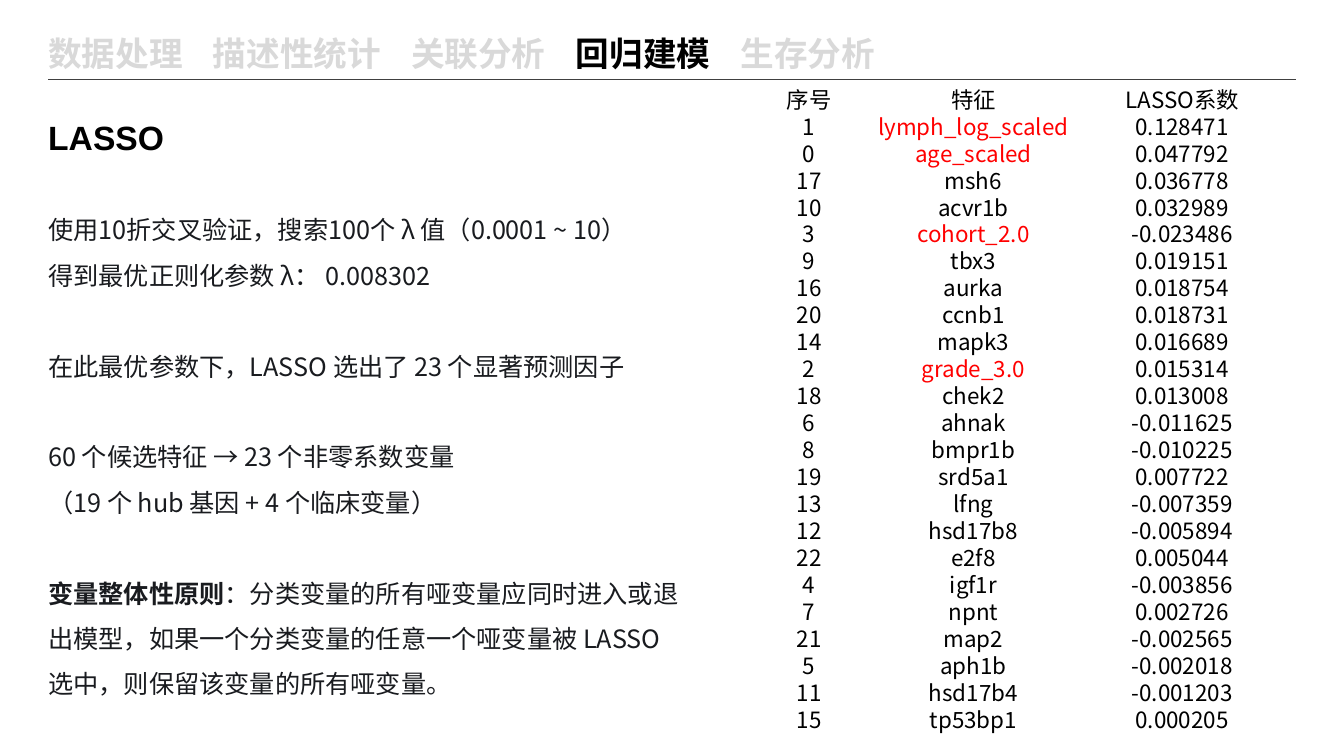
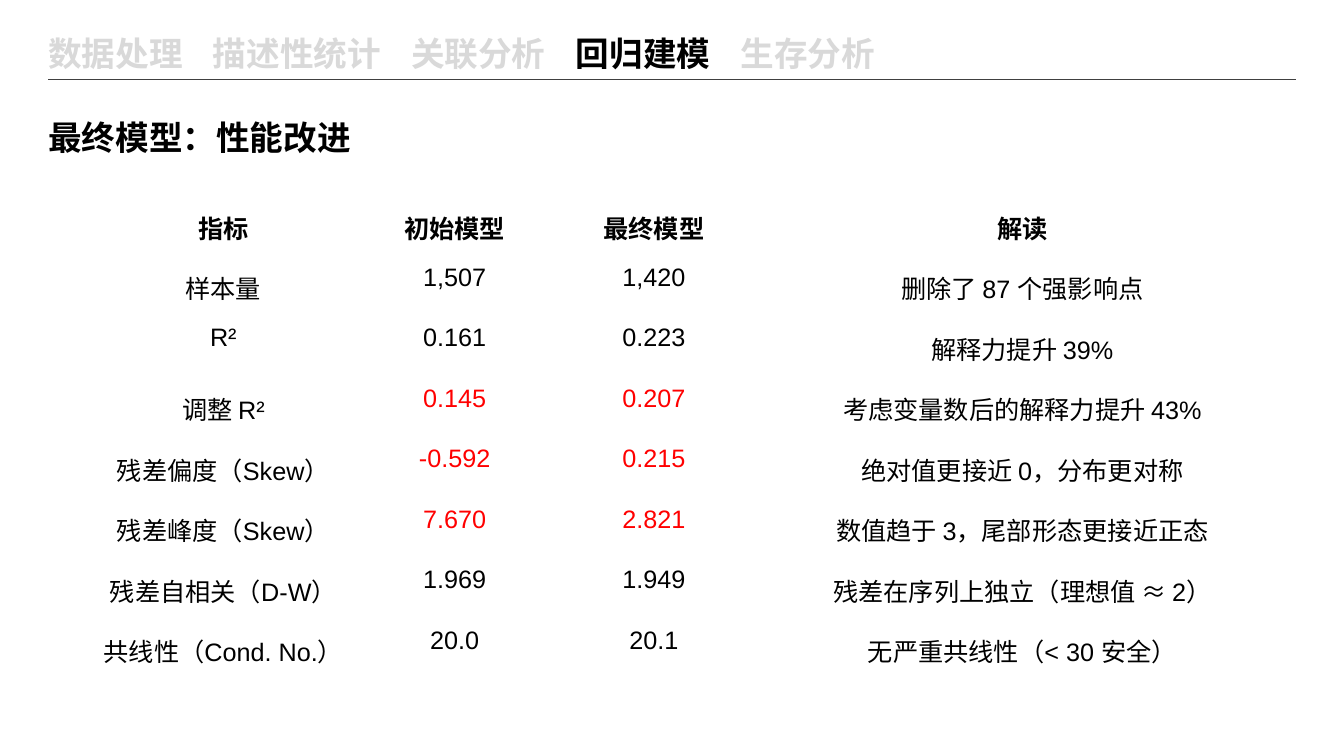
from dataclasses import dataclass

from lxml import etree
from pptx import Presentation
from pptx.dml.color import RGBColor
from pptx.enum.shapes import MSO_CONNECTOR
from pptx.enum.text import MSO_ANCHOR, MSO_AUTO_SIZE, PP_ALIGN
from pptx.oxml.ns import qn
from pptx.util import Inches, Pt

STRAIGHT = MSO_CONNECTOR.STRAIGHT
MIDDLE = MSO_ANCHOR.MIDDLE
CENTER = PP_ALIGN.CENTER
GROW = MSO_AUTO_SIZE.SHAPE_TO_FIT_TEXT
NO_STYLE_NO_GRID = "{2D5ABB26-0587-4C30-8999-92F81FD0307C}"
BORDERS = ["a:lnL", "a:lnR", "a:lnT", "a:lnB"]


@dataclass(frozen=True)
class Theme:
    ink: RGBColor = RGBColor(0x00, 0x00, 0x00)
    body_ink: RGBColor = RGBColor(0x19, 0x1B, 0x1F)
    muted: RGBColor = RGBColor(0xD9, 0xD9, 0xD9)
    rule: RGBColor = RGBColor(0x40, 0x40, 0x40)
    accent: RGBColor = RGBColor(0xFF, 0x00, 0x00)
    latin: str = "Arial"
    cjk: str = "Noto Sans CJK SC"
    title_size: int = 24
    body_size: int = 18
    dense_size: int = 16


THEME = Theme()


def style_run(run, size, color, font, bold=False):
    run.font.size = Pt(size)
    run.font.bold = bold
    run.font.color.rgb = color
    run.font.name = font
    east_asian = etree.SubElement(run.font._element, qn("a:ea"))
    east_asian.set("typeface", THEME.cjk)


def add_data_table(slide, box, widths, rows, size, font, spacing, margin, bold_header, is_accent):
    table = slide.shapes.add_table(len(rows), len(widths), *map(Inches, box)).table
    table.first_row = False
    table.horz_banding = False
    table._tbl.tblPr.find(qn("a:tableStyleId")).text = NO_STYLE_NO_GRID
    for column, width in zip(table.columns, widths):
        column.width = Inches(width)
    for r, values in enumerate(rows):
        table.rows[r].height = Inches(box[3] / len(rows))
        for c, value in enumerate(values):
            cell = table.cell(r, c)
            cell.fill.background()
            cell.vertical_anchor = MIDDLE
            cell.margin_left = cell.margin_right = cell.margin_top = Inches(margin)
            cell.margin_bottom = 0
            cell_properties = cell._tc.get_or_add_tcPr()
            for position, tag in enumerate(BORDERS):
                border = etree.Element(qn(tag), w="0")
                etree.SubElement(border, qn("a:noFill"))
                cell_properties.insert(position, border)
            paragraph = cell.text_frame.paragraphs[0]
            paragraph.text = value
            paragraph.alignment = CENTER
            paragraph.line_spacing = spacing
            color = THEME.accent if is_accent(values, c) else THEME.ink
            style_run(paragraph.runs[0], size, color, font, bold_header and r == 0)


sections = ["数据处理", "描述性统计", "关联分析", "回归建模", "生存分析"]
current_section = "回归建模"
section_gap = 0.3

prs = Presentation()
prs.slide_width = Inches(13.33)
prs.slide_height = Inches(7.5)
blank = prs.slide_layouts[6]

slides = []
for title in ["LASSO", "最终模型：性能改进"]:
    slide = prs.slides.add_slide(blank)
    slides.append(slide)

    nav = slide.shapes.add_textbox(Inches(0.38), Inches(0.28), Inches(12.56), Inches(0.5)).text_frame
    nav.word_wrap = True
    nav.auto_size = GROW
    nav_line = nav.paragraphs[0]
    tab_list = etree.SubElement(nav_line._p.get_or_add_pPr(), qn("a:tabLst"))
    tab_position = 0
    for i, section in enumerate(sections):
        run = nav_line.add_run()
        run.text = section if i == 0 else "\t" + section
        color = THEME.ink if section == current_section else THEME.muted
        style_run(run, THEME.title_size, color, THEME.latin, True)
        if i < len(sections) - 1:
            tab_position += len(section) * Pt(THEME.title_size) + Inches(section_gap)
            etree.SubElement(tab_list, qn("a:tab"), pos=str(tab_position), algn="l")

    rule = slide.shapes.add_connector(STRAIGHT, Inches(0.48), Inches(0.79), Inches(12.85), Inches(0.79))
    rule.line.color.rgb = THEME.rule
    rule.line.width = Pt(1.25)
    etree.SubElement(rule._element.spPr, qn("a:effectLst"))

    heading = slide.shapes.add_textbox(Inches(0.38), Inches(1.11), Inches(7.58), Inches(0.5)).text_frame
    heading.word_wrap = True
    heading.auto_size = GROW
    heading.text = title
    style_run(heading.paragraphs[0].runs[0], THEME.title_size, THEME.ink, THEME.latin, True)

lasso_slide, final_slide = slides

findings = [
    ["使用10折交叉验证，搜索100个 λ 值（0.0001 ~ 10）", "得到最优正则化参数 λ： 0.008302"],
    ["在此最优参数下，LASSO 选出了 23 个显著预测因子"],
    ["60 个候选特征 → 23 个非零系数变量", "（19 个 hub 基因 + 4 个临床变量）"],
    ["变量整体性原则：分类变量的所有哑变量应同时进入或退出模型，"
     "如果一个分类变量的任意一个哑变量被 LASSO 选中，则保留该变量的所有哑变量。"],
]
principle = "变量整体性原则"
group_gap = Pt(32.5)

body = lasso_slide.shapes.add_textbox(Inches(0.38), Inches(1.93), Inches(6.55), Inches(5.1)).text_frame
body.word_wrap = True
for g, group in enumerate(findings):
    for i, line in enumerate(group):
        paragraph = body.paragraphs[0] if g == i == 0 else body.add_paragraph()
        paragraph.line_spacing = 1.5
        if g > 0 and i == 0:
            paragraph.space_before = group_gap
        lead = principle if line.startswith(principle) else ""
        for text, bold in [(lead, True), (line[len(lead):], False)]:
            if text:
                run = paragraph.add_run()
                run.text = text
                style_run(run, THEME.body_size, THEME.body_ink, THEME.cjk, bold)

coefficients = [
    ("序号", "特征", "LASSO系数"),
    ("1", "lymph_log_scaled", "0.128471"),
    ("0", "age_scaled", "0.047792"),
    ("17", "msh6", "0.036778"),
    ("10", "acvr1b", "0.032989"),
    ("3", "cohort_2.0", "-0.023486"),
    ("9", "tbx3", "0.019151"),
    ("16", "aurka", "0.018754"),
    ("20", "ccnb1", "0.018731"),
    ("14", "mapk3", "0.016689"),
    ("2", "grade_3.0", "0.015314"),
    ("18", "chek2", "0.013008"),
    ("6", "ahnak", "-0.011625"),
    ("8", "bmpr1b", "-0.010225"),
    ("19", "srd5a1", "0.007722"),
    ("13", "lfng", "-0.007359"),
    ("12", "hsd17b8", "-0.005894"),
    ("22", "e2f8", "0.005044"),
    ("4", "igf1r", "-0.003856"),
    ("7", "npnt", "0.002726"),
    ("21", "map2", "-0.002565"),
    ("5", "aph1b", "-0.002018"),
    ("11", "hsd17b4", "-0.001203"),
    ("15", "tp53bp1", "0.000205"),
]
clinical = {"lymph_log_scaled", "age_scaled", "cohort_2.0", "grade_3.0"}
add_data_table(
    lasso_slide, (7.48, 0.9, 5.23, 6.42), [1.09, 2.17, 1.97], coefficients,
    THEME.dense_size, THEME.cjk, Pt(14.2), 0.01, False,
    lambda values, c: values[c] in clinical,
)

metrics = [
    ("指标", "初始模型", "最终模型", "解读"),
    ("样本量", "1,507", "1,420", "删除了 87 个强影响点"),
    ("R²", "0.161", "0.223", "解释力提升 39%"),
    ("调整 R²", "0.145", "0.207", "考虑变量数后的解释力提升 43%"),
    ("残差偏度（Skew）", "-0.592", "0.215", "绝对值更接近 0，分布更对称"),
    ("残差峰度（Skew）", "7.670", "2.821", "数值趋于 3，尾部形态更接近正态"),
    ("残差自相关（D-W）", "1.969", "1.949", "残差在序列上独立（理想值 ≈ 2）"),
    ("共线性（Cond. No.）", "20.0", "20.1", "无严重共线性（< 30 安全）"),
]
improved = {"调整 R²", "残差偏度（Skew）", "残差峰度（Skew）"}
add_data_table(
    final_slide, (0.59, 1.71, 11.9, 4.8), [3.25, 1.34, 2.61, 4.7], metrics,
    THEME.body_size, THEME.latin, 2.0, 0, True,
    lambda values, c: values[0] in improved and c in (1, 2),
)

prs.save("out.pptx")
